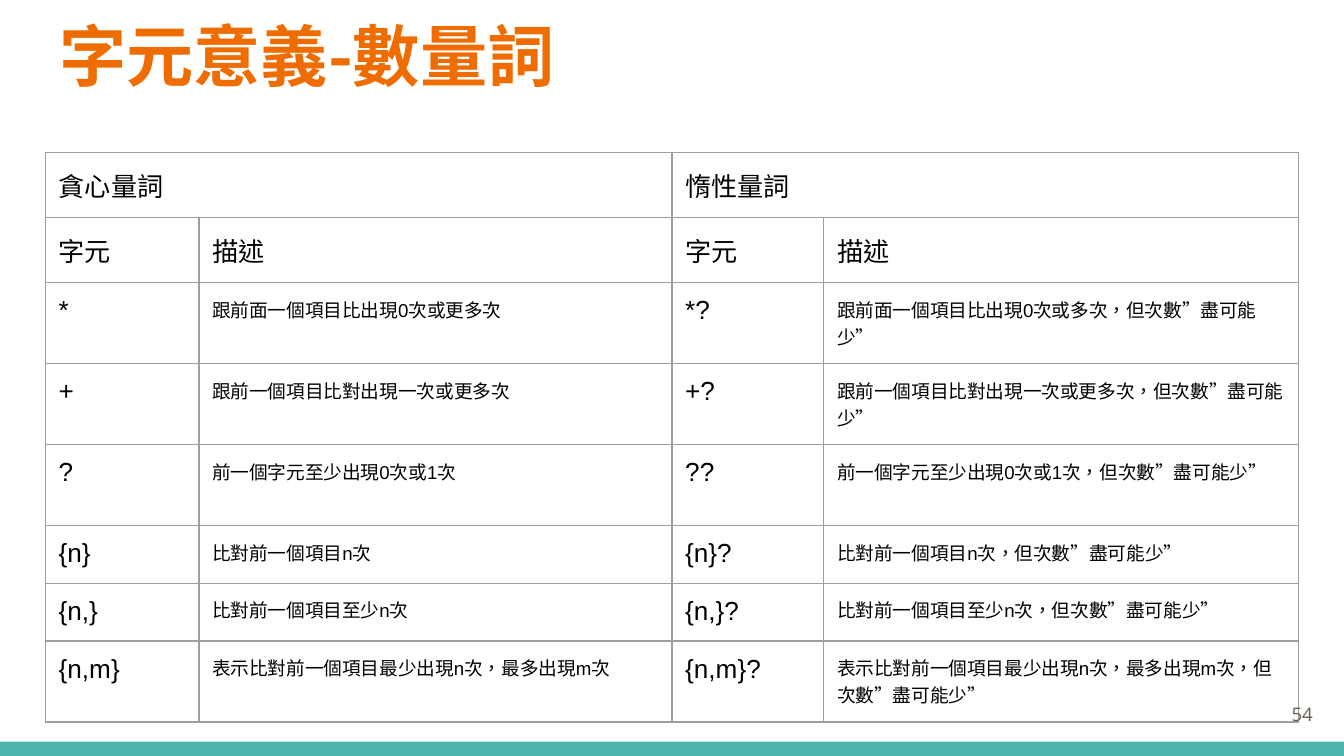
from dataclasses import dataclass

from lxml import etree
from pptx import Presentation
from pptx import util as u
from pptx.dml.color import RGBColor
from pptx.enum import shapes, text
from pptx.oxml import ns

ORANGE = RGBColor(0xEF, 0x6C, 0x00)
TEAL = RGBColor(0x4D, 0xB6, 0xAC)
BLACK = RGBColor(0x00, 0x00, 0x00)
BROWN = RGBColor(0x69, 0x5D, 0x46)
GRAY = RGBColor(0x9E, 0x9E, 0x9E)
HAN = "Noto Sans CJK TC"
PAD = u.Cm(0.25)
LAZY = "，但次數”盡可能少”"
HEAD, TALL, LOW = 1.23, 1.53, 1.06


@dataclass
class Box:
    left: float
    top: float
    width: float
    height: float

    def size(self) -> tuple:
        return tuple(u.Cm(n) for n in (self.left, self.top, self.width, self.height))


@dataclass
class Quant:
    sign: str
    note: str
    lazy: str = ""
    high: float = TALL

    def cells(self) -> tuple:
        return self.sign, self.note, self.sign + "?", (self.lazy or self.note) + LAZY


QUANTS = [
    Quant("*", "跟前面一個項目比出現0次或更多次", "跟前面一個項目比出現0次或多次"),
    Quant("+", "跟前一個項目比對出現一次或更多次"),
    Quant("?", "前一個字元至少出現0次或1次"),
    Quant("{n}", "比對前一個項目n次", high=LOW),
    Quant("{n,}", "比對前一個項目至少n次", high=LOW),
    Quant("{n,m}", "表示比對前一個項目最少出現n次，最多出現m次"),
]
HEADS = [("貪心量詞", "", "惰性量詞", ""), ("字元", "描述") * 2]
WIDTHS = (2.9, 8.94, 2.87, 8.97)


def write(frame, words: str, *, size=14, font="Arial", color=BLACK, bold=False,
          align=text.PP_ALIGN.LEFT) -> None:
    para = frame.paragraphs[0]
    para.alignment = align
    run = para.add_run()
    run.text = words
    run.font.size = u.Pt(size)
    run.font.name = font
    run.font.bold = bold
    run.font.color.rgb = color
    props = run.font._element
    props.set("lang", "zh-TW")
    east = etree.SubElement(props, ns.qn("a:ea"))
    east.set("typeface", HAN)


def label(slide, box: Box, words: str, **style) -> None:
    frame = slide.shapes.add_textbox(*box.size()).text_frame
    frame.word_wrap = True
    frame.vertical_anchor = text.MSO_ANCHOR.MIDDLE
    frame.margin_left = frame.margin_right = PAD
    frame.margin_top = frame.margin_bottom = PAD
    write(frame, words, **style)


def edge(cell) -> None:
    props = cell._tc.get_or_add_tcPr()
    for side in ("lnL", "lnR", "lnT", "lnB"):
        line = etree.SubElement(props, ns.qn(f"a:{side}"), w=str(u.Pt(0.75)))
        fill = etree.SubElement(line, ns.qn("a:solidFill"))
        etree.SubElement(fill, ns.qn("a:srgbClr"), val=str(GRAY))


def grid(slide, left: float, top: float) -> None:
    rows = HEADS + [item.cells() for item in QUANTS]
    highs = [HEAD] * len(HEADS) + [item.high for item in QUANTS]
    box = Box(left, top, sum(WIDTHS), sum(highs))
    table = slide.shapes.add_table(len(rows), len(WIDTHS), *box.size()).table
    table.first_row = table.horz_banding = False
    for col, width in zip(table.columns, WIDTHS):
        col.width = u.Cm(width)
    for y, (row, high) in enumerate(zip(rows, highs)):
        table.rows[y].height = u.Cm(high)
        for x, words in enumerate(row):
            cell = table.cell(y, x)
            edge(cell)
            cell.fill.background()
            cell.margin_left = cell.margin_right = PAD
            cell.margin_top = cell.margin_bottom = PAD
            small = y >= len(HEADS) and x % 2
            if words:
                write(cell.text_frame, words, size=10 if small else 14)
    for x in (0, 2):
        table.cell(0, x).merge(table.cell(0, x + 1))


def bar(slide, box: Box) -> None:
    shape = slide.shapes.add_shape(shapes.MSO_SHAPE.RECTANGLE, *box.size())
    shape.shadow.inherit = False
    shape.fill.solid()
    shape.fill.fore_color.rgb = TEAL
    shape.line.fill.background()


def main() -> None:
    deck = Presentation()
    deck.slide_width, deck.slide_height = u.Cm(25.4), u.Cm(14.29)
    slide = deck.slides.add_slide(deck.slide_layouts[6])
    bar(slide, Box(0, 14.02, 25.4, 0.27))
    label(slide, Box(0.87, 0.05, 23.67, 1.96), "字元意義-數量詞",
          size=36, font=HAN, color=ORANGE, bold=True)
    grid(slide, 0.86, 2.88)
    label(slide, Box(23.54, 12.95, 1.52, 1.09), "54", size=10,
          font="Open Sans", color=BROWN, align=text.PP_ALIGN.RIGHT)
    deck.save("out.pptx")


if __name__ == "__main__":
    main()
